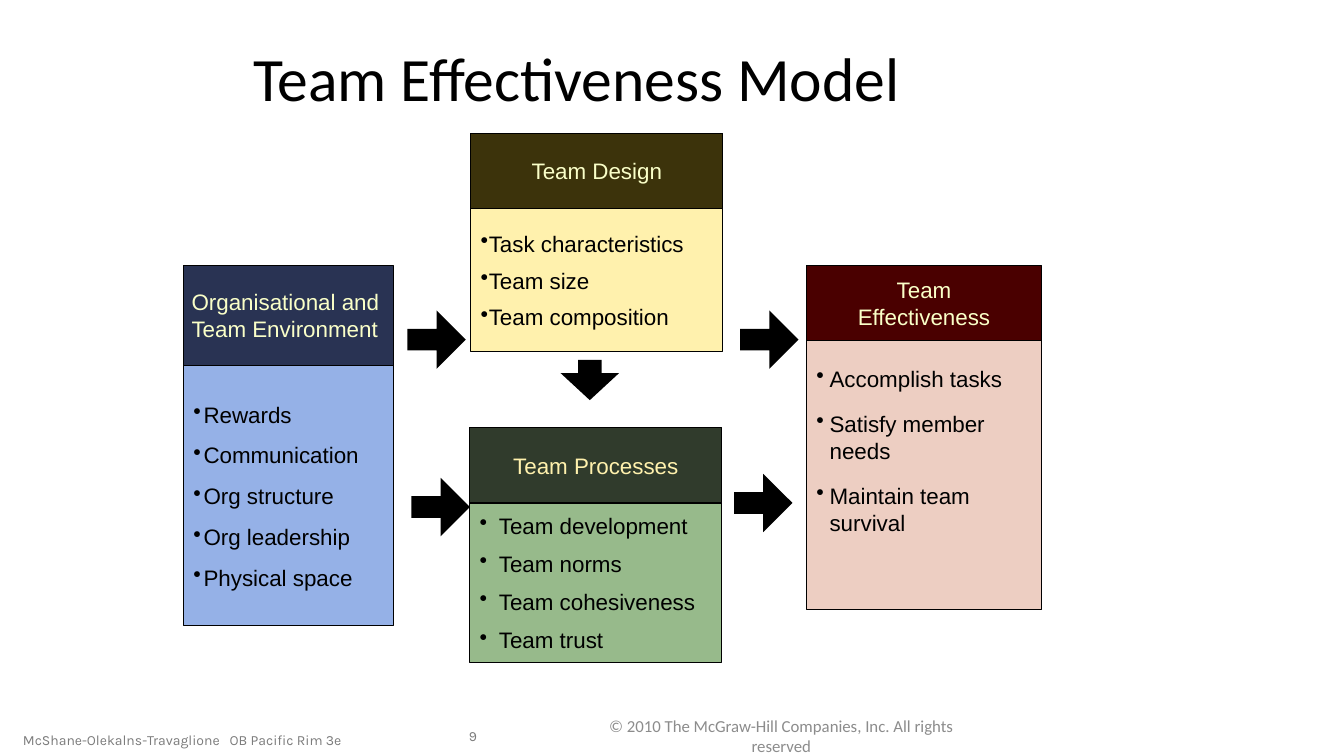
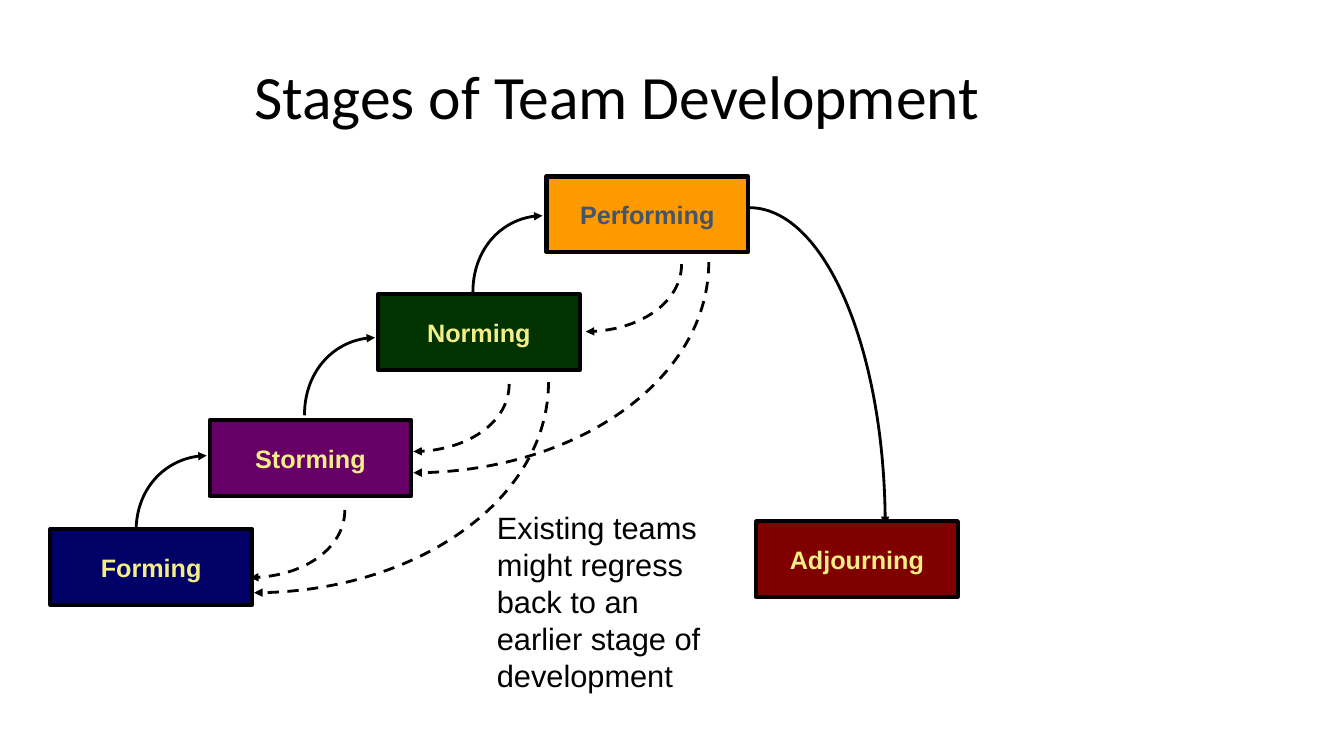
from lxml import etree
from pptx import Presentation
from pptx.dml.color import RGBColor
from pptx.enum import dml, shapes, text
from pptx.oxml import ns
from pptx.util import Inches, Pt

# Shared colours and styles
BLACK = RGBColor(0x00, 0x00, 0x00)
GREY = RGBColor(0x7C, 0x7C, 0x7C)
LIGHT_GREY = RGBColor(0x8C, 0x8C, 0x8C)
CREAM = RGBColor(0xFA, 0xFF, 0xC8)
YELLOW = RGBColor(0xFF, 0xF1, 0xAD)
BROWN = RGBColor(0x3C, 0x33, 0x0B)
NAVY = RGBColor(0x29, 0x33, 0x53)
SKY = RGBColor(0x95, 0xB1, 0xE7)
MAROON = RGBColor(0x4A, 0x00, 0x00)
PINK = RGBColor(0xED, 0xCE, 0xC2)
FOREST = RGBColor(0x30, 0x3B, 0x2C)
SAGE = RGBColor(0x97, 0xBA, 0x8B)
STAGE_TEXT = RGBColor(0xF3, 0xEE, 0x85)
SLATE = RGBColor(0x44, 0x54, 0x6A)
STAGE_BLUE = RGBColor(0x00, 0x00, 0x66)
STAGE_PURPLE = RGBColor(0x66, 0x00, 0x66)
STAGE_GREEN = RGBColor(0x00, 0x33, 0x00)
STAGE_ORANGE = RGBColor(0xFF, 0x99, 0x00)
STAGE_RED = RGBColor(0x80, 0x00, 0x00)

LEFT, CENTER, RIGHT = text.PP_ALIGN.LEFT, text.PP_ALIGN.CENTER, text.PP_ALIGN.RIGHT
TOP, MIDDLE = text.MSO_ANCHOR.TOP, text.MSO_ANCHOR.MIDDLE
TITLE = {"name": "Calibri", "size": Pt(44)}
BODY = {"name": "Arial", "size": Pt(16)}
STAGE = {"name": "Arial", "size": Pt(18), "bold": True}
NOTE = {"name": "Arial", "size": Pt(22)}
FOOTER = {"name": "Karla", "size": Pt(10)}
COPYRIGHT = {"name": "Calibri", "size": Pt(12)}


def box_at(*lengths):
    return [Inches(n) for n in lengths]


def set_font(p, style, color):
    for key, value in style.items():
        setattr(p.font, key, value)
    p.font.color.rgb = color


def write(sp, words, style, color, align=LEFT, anchor=MIDDLE):
    tf = sp.text_frame
    tf.text = words
    tf.word_wrap = True
    tf.vertical_anchor = anchor
    for p in tf.paragraphs:
        p.alignment = align
        set_font(p, style, color)
    return tf


def add_title(prs, words, *at):
    s = prs.slides.add_slide(prs.slide_layouts[5])
    sp = s.shapes.title
    sp.left, sp.top, sp.width, sp.height = box_at(*at)
    tf = write(sp, words, TITLE, BLACK)
    tf.auto_size = text.MSO_AUTO_SIZE.NONE
    tf.paragraphs[0].line_spacing = 0.9
    return s


def add_text(s, at, words, style, color, align=LEFT, anchor=MIDDLE):
    return write(s.shapes.add_textbox(*box_at(*at)), words, style, color, align, anchor)


def add_shape(s, kind, at, fill, line_width=None):
    sp = s.shapes.add_shape(kind, *box_at(*at))
    sp.shadow.inherit = False
    sp.fill.solid()
    sp.fill.fore_color.rgb = fill
    if line_width:
        sp.line.color.rgb = BLACK
        sp.line.width = Pt(line_width)
    else:
        sp.line.fill.background()
    return sp


def add_rect(s, at, fill, line_width):
    return add_shape(s, shapes.MSO_SHAPE.RECTANGLE, at, fill, line_width)


def add_bullets(tf, indent, gap):
    for i, p in enumerate(tf.paragraphs):
        pPr = p._p.get_or_add_pPr()
        pPr.set("marL", str(Inches(indent)))
        pPr.set("indent", str(-Inches(indent)))
        bullet = etree.Element(ns.qn("a:buChar"), char="•")
        pPr.insert_element_before(bullet, "a:tabLst", "a:defRPr", "a:extLst")
        if i:
            p.space_before = Pt(gap)


def add_panel(s, left, top, width, head_h, body_h, head, items, head_fill, body_fill,
              indent, gap, head_color=CREAM, align=CENTER, body_top=None):
    """Header box with a bulleted box beneath it."""
    body = add_rect(s, (left, top + head_h, width, body_h), body_fill, 0.75)
    anchor = TOP if body_top else MIDDLE
    tf = write(body, "\n".join(items), BODY, BLACK, anchor=anchor)
    if body_top:
        tf.margin_top = Inches(body_top)
    add_bullets(tf, indent, gap)
    header = add_rect(s, (left, top, width, head_h), head_fill, 0.75)
    tf = write(header, head, BODY, head_color, align)
    tf.margin_left = tf.margin_right = Inches(0.08)


def add_arrow(s, kind, at, shaft, head):
    sp = add_shape(s, kind, at, BLACK)
    sp.adjustments[0], sp.adjustments[1] = shaft, head


def add_curve(s, start, end, dashed=False, level_start=False):
    """Quarter-ellipse arrow that leaves vertically, or level on request."""
    corner = (end[0], start[1]) if level_start else (start[0], end[1])
    controls = [[p + 0.55 * (c - p) for p, c in zip(point, corner)]
                for point in (start, end)]
    points = [box_at(*point) for point in (*controls, end)]
    builder = s.shapes.build_freeform(*box_at(*start))
    builder.add_line_segments(points, close=False)
    sp = builder.convert_to_shape()
    # One cubic segment takes the place of the three straight ones
    lines = list(sp._element.iter(ns.qn("a:lnTo")))
    cubic = etree.SubElement(lines[0].getparent(), ns.qn("a:cubicBezTo"))
    for line in lines:
        cubic.append(line[0])
        line.getparent().remove(line)
    sp.shadow.inherit = False
    sp.fill.background()
    sp.line.color.rgb = BLACK
    sp.line.width = Pt(2)
    if dashed:
        sp.line.dash_style = dml.MSO_LINE.DASH
    etree.SubElement(sp.line._get_or_add_ln(), ns.qn("a:tailEnd"), type="triangle")


def add_footer(s):
    tf = add_text(s, (0.13, 7.18, 3.37, 0.32), "", FOOTER, GREY)
    p = tf.paragraphs[0]
    tabs = etree.SubElement(p._p.get_or_add_pPr(), ns.qn("a:tabLst"))
    etree.SubElement(tabs, ns.qn("a:tab"), pos=str(Inches(2.05)), algn="l")
    p.text = "McShane-Olekalns-Travaglione\tOB Pacific Rim 3e"
    set_font(p, FOOTER, GREY)
    add_text(s, (5.75, 7.1, 4, 0.4),
             "© 2010 The McGraw-Hill Companies, Inc. All rights reserved",
             COPYRIGHT, LIGHT_GREY, CENTER)
    add_text(s, (4.33, 7.1, 0.5, 0.4), "9", FOOTER, GREY, RIGHT)


def build_model(prs):
    s = add_title(prs, "Team Effectiveness Model", 2.41, 0.18, 8.08, 1.25)
    add_footer(s)
    # Panels
    add_panel(s, 4.67, 1.32, 2.5, 0.75, 1.42, "Team Design",
              ["Task characteristics", "Team size", "Team composition"],
              BROWN, YELLOW, indent=0.08, gap=7)
    add_panel(s, 8, 2.63, 2.33, 0.75, 2.67, "Team\nEffectiveness",
              ["Accomplish tasks", "Satisfy member needs", "Maintain team survival"],
              MAROON, PINK, indent=0.13, gap=13, body_top=0.24)
    add_panel(s, 4.66, 4.24, 2.5, 0.75, 1.58, "Team Processes",
              ["Team development", "Team norms", "Team cohesiveness", "Team trust"],
              FOREST, SAGE, indent=0.19, gap=8, head_color=YELLOW)
    add_panel(s, 1.82, 2.63, 2.08, 1, 2.58, "Organisational and Team Environment",
              ["Rewards", "Communication", "Org structure", "Org leadership",
               "Physical space"],
              NAVY, SKY, indent=0.1, gap=10, align=LEFT)
    # Block arrows
    add_arrow(s, shapes.MSO_SHAPE.DOWN_ARROW, (5.56, 3.57, 0.58, 0.4), 0.4, 0.67)
    for left, top in [(7.34, 3.08), (4.04, 3.08), (4.08, 4.74), (7.28, 4.7)]:
        add_arrow(s, shapes.MSO_SHAPE.RIGHT_ARROW, (left, top, 0.58, 0.58), 0.37, 0.5)


def build_stages(prs):
    s = add_title(prs, "Stages of Team Development", 2.42, 0.36, 8.5, 1.25)
    # Regressions
    for start, end in [((3.42, 5.06), (2.48, 5.73)), ((5.05, 3.81), (4.1, 4.48)),
                       ((6.76, 2.62), (5.81, 3.29)), ((5.44, 3.79), (2.52, 5.88)),
                       ((7.03, 2.6), (4.1, 4.69))]:
        add_curve(s, start, end, dashed=True)
    add_text(s, (4.83, 5, 2.42, 1.93),
             "Existing teams might regress back to an earlier stage of development",
             NOTE, BLACK, anchor=TOP)
    # Advances
    for start, end in [((1.35, 5.27), (2.05, 4.52)), ((3.02, 4.12), (3.72, 3.35)),
                       ((4.69, 2.9), (5.38, 2.14))]:
        add_curve(s, start, end)
    add_curve(s, (7.43, 2.06), (8.78, 5.21), level_start=True)
    # Stages
    for name, left, top, fill, color in [
            ("Forming", 0.5, 5.25, STAGE_BLUE, STAGE_TEXT),
            ("Storming", 2.08, 4.17, STAGE_PURPLE, STAGE_TEXT),
            ("Norming", 3.75, 2.92, STAGE_GREEN, STAGE_TEXT),
            ("Performing", 5.42, 1.75, STAGE_ORANGE, SLATE),
            ("Adjourning", 7.5, 5.17, STAGE_RED, STAGE_TEXT)]:
        sp = add_rect(s, (left, top, 2, 0.75), fill, 3)
        write(sp, name, STAGE, color, CENTER)


def main():
    prs = Presentation()
    prs.slide_width, prs.slide_height = Inches(13.33), Inches(7.5)
    build_model(prs)
    build_stages(prs)
    prs.save("out.pptx")


if __name__ == "__main__":
    main()
